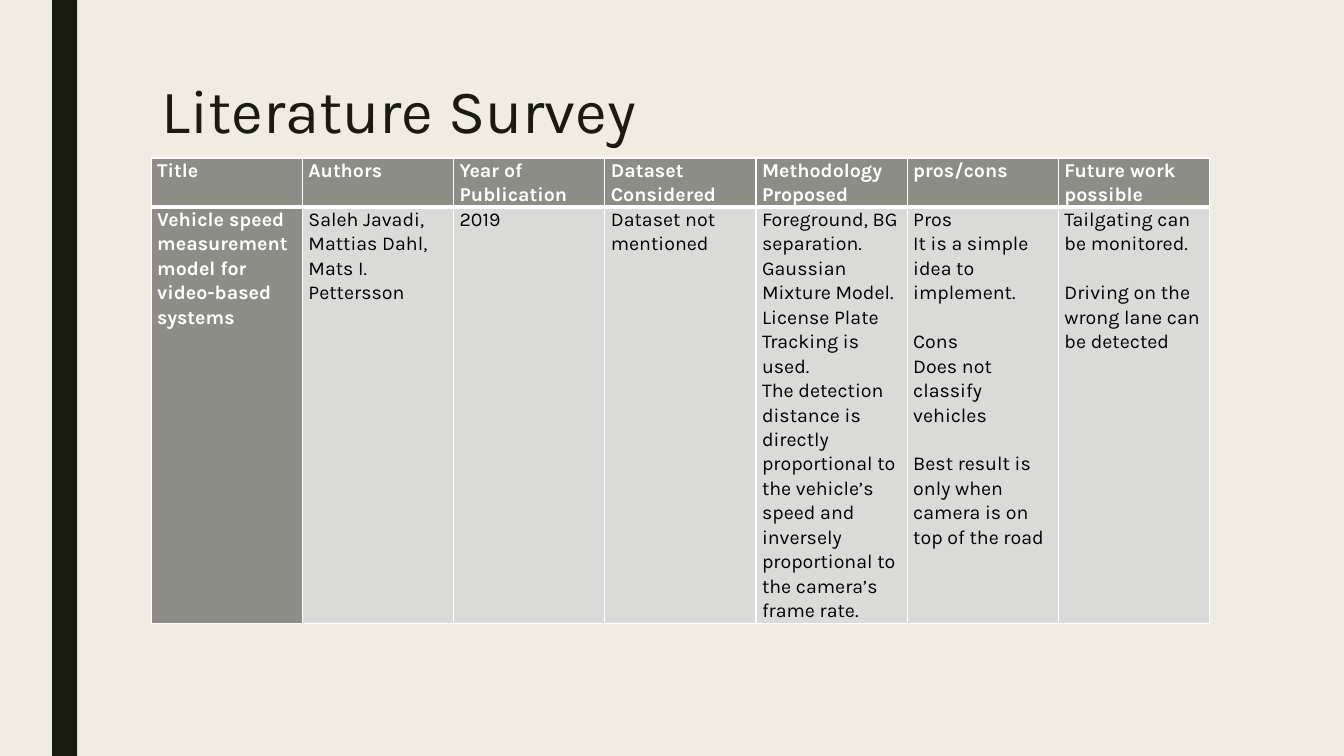
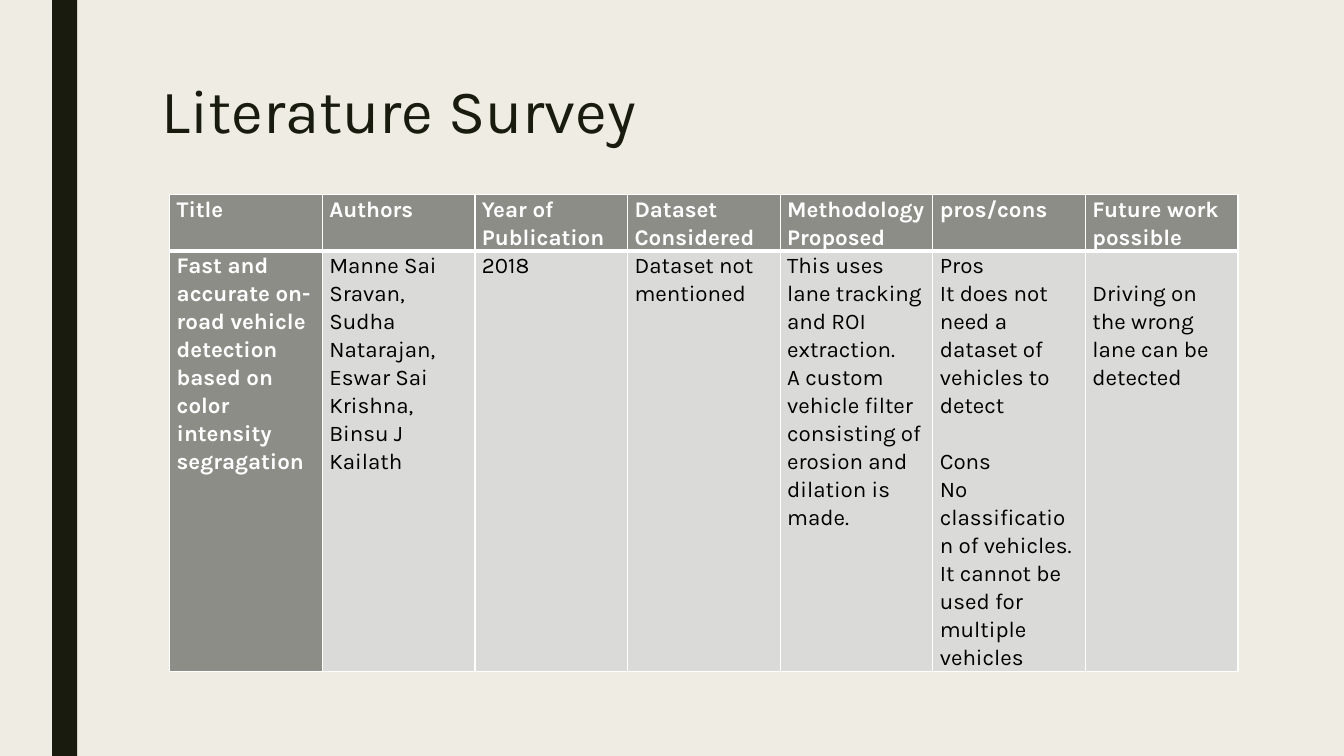
from lxml.etree import SubElement as Sub
from pptx import Presentation
from pptx.dml.color import RGBColor as RGB
from pptx.enum.shapes import MSO_SHAPE as Shape
from pptx.enum.text import MSO_ANCHOR as Anchor, MSO_AUTO_SIZE as Fit, PP_ALIGN as Align
from pptx.oxml.ns import qn
from pptx.util import Inches, Pt

CREAM = RGB(0xEF, 0xED, 0xE3)
INK = RGB(0x19, 0x1B, 0x0E)
GREY = RGB(0x8C, 0x8D, 0x86)
PALE = RGB(0xDA, 0xDB, 0xD9)
WHITE = RGB(0xFF, 0xFF, 0xFF)
BLACK = RGB(0, 0, 0)

FONT = "Karla"
COLS, ROWS = 80, 45
LEAD = 1.25  # line height as a multiple of the text size

HEADS = ["Title", "Authors", "Year of Publication", "Dataset Considered",
         "Methodology\nProposed", "pros/cons", "Future work possible"]

# An empty line in a cell's text stands for a gap of one line.
SPEED = [
    "Vehicle speed measurement model for video-based systems",
    "Saleh Javadi, Mattias Dahl, Mats I. Pettersson",
    "2019",
    "Dataset not mentioned",
    "Foreground, BG separation.\nGaussian Mixture Model.\n"
    "License Plate Tracking is used.\n"
    "The detection distance is directly proportional to the vehicle’s speed "
    "and inversely proportional to the camera’s frame rate.",
    "Pros\nIt is a simple idea to implement.\n\n"
    "Cons\nDoes not classify vehicles\n\n"
    "Best result is only when camera is on top of the road",
    "Tailgating can be monitored.\n\nDriving on the wrong lane can be detected",
]
COLOR = [
    "Fast and accurate on-road vehicle detection based on color intensity segragation",
    "Manne Sai Sravan, Sudha Natarajan, Eswar Sai Krishna, Binsu J Kailath",
    "2018",
    "Dataset not mentioned",
    "This uses lane tracking and ROI extraction.\n"
    "A custom vehicle filter consisting of erosion and dilation is made.",
    "Pros\nIt does not need a dataset of vehicles to detect\n\n"
    "Cons\nNo classification of vehicles.\nIt cannot be used for multiple vehicles",
    "\nDriving on the wrong lane can be detected",
]


def grid(*units):
    """Turn grid units, a sixth of an inch each, into lengths."""
    return [Inches(unit / 6) for unit in units]


class Deck:
    def __init__(self):
        self.prs = Presentation()
        self.prs.slide_width, self.prs.slide_height = grid(COLS, ROWS)
        fill = self.prs.slide_master.background.fill
        fill.solid()
        fill.fore_color.rgb = CREAM
        self.slide = None

    def start(self, title):
        """Add a slide with the side band and its title."""
        self.slide = self.prs.slides.add_slide(self.prs.slide_layouts[5])
        self.band()
        self.title(title)

    def band(self):
        bar = self.slide.shapes.add_shape(Shape.RECTANGLE, *grid(3.1, 0, 1.5, ROWS))
        bar.shadow.inherit = False
        bar.fill.solid()
        bar.fill.fore_color.rgb = INK
        bar.line.fill.background()

    def title(self, text):
        box = self.slide.shapes.title
        box.left, box.top, box.width, box.height = grid(9, 4.5, 63, 9.75)
        frame = box.text_frame
        frame.text = text
        frame.auto_size = Fit.NONE
        frame.vertical_anchor = Anchor.TOP
        para = frame.paragraphs[0]
        para.alignment = Align.LEFT
        para.line_spacing = 0.89
        self.style(para, 44, INK)

    def style(self, para, size, color, bold=False):
        for run in para.runs:
            font = run.font
            font.name, font.size, font.bold = FONT, Pt(size), bold
            font.color.rgb = color

    def table(self, body, left, top, width, size, lines, inset):
        """Draw the head row and one body row that is the given lines high."""
        high = [Pt(n * LEAD * size) for n in (2, lines)]
        table = self.slide.shapes.add_table(
            2, len(HEADS), *grid(left, top, width), sum(high)).table
        table.horz_banding = False
        for col in table.columns:
            col.width = grid(width / len(HEADS))[0]
        for r, texts in enumerate((HEADS, body)):
            table.rows[r].height = high[r]
            for c, text in enumerate(texts):
                cell = table.cell(r, c)
                head = r == 0 or c == 0
                self.edge(cell, {"L": 1, "R": 1, "T": 3 if r else 1, "B": 1 if r else 3})
                cell.fill.solid()
                cell.fill.fore_color.rgb = GREY if head else PALE
                cell.margin_left = cell.margin_right = Inches(inset)
                cell.margin_top = cell.margin_bottom = 0
                self.label(cell, text, size, head)

    def edge(self, cell, sides):
        props = cell._tc.get_or_add_tcPr()
        for side, width in sides.items():
            line = Sub(props, qn(f"a:ln{side}"), w=str(Pt(width)))
            Sub(Sub(line, qn("a:solidFill")), qn("a:srgbClr"), val=str(WHITE))

    def label(self, cell, text, size, head):
        """Fill a cell with text, its empty lines turned into spacing."""
        gap = Pt(LEAD * size)
        if text.startswith("\n"):
            cell.margin_top = gap
        frame = cell.text_frame
        for i, block in enumerate(text.strip("\n").split("\n\n")):
            for j, line in enumerate(block.split("\n")):
                para = frame.add_paragraph() if i or j else frame.paragraphs[0]
                para.text = line
                para.line_spacing = 1.07
                para.space_before = gap if i and not j else Pt(0)
                self.style(para, size, WHITE if head else BLACK, head)


def main():
    deck = Deck()
    deck.start("Literature Survey")
    deck.table(SPEED, 9, 9.4, 63, size=14, lines=17, inset=0.06)
    deck.start("Literature Survey")
    deck.table(COLOR, 10.1, 11.6, 63.6, size=16, lines=15, inset=0.07)
    deck.prs.save("out.pptx")


if __name__ == "__main__":
    main()
